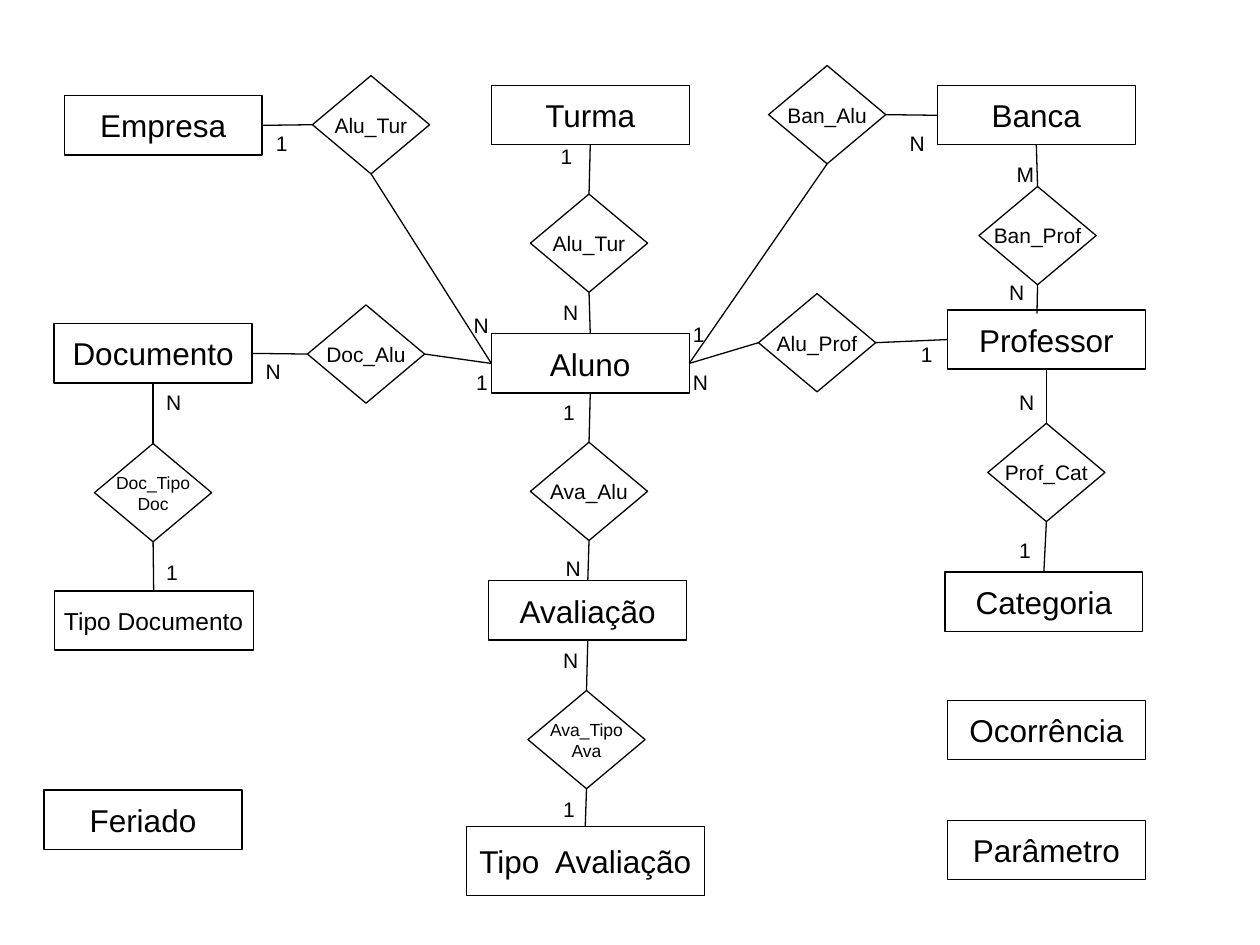
from dataclasses import dataclass

from lxml import etree
from pptx import Presentation
from pptx.dml.color import RGBColor
from pptx.enum import shapes, text
from pptx.oxml import ns
from pptx.util import Inches, Pt

TOP, LEFT, BOTTOM, RIGHT = range(4)


@dataclass(frozen=True)
class Theme:
    font: str = "Arial"
    ink: RGBColor = RGBColor(0, 0, 0)
    paper: RGBColor = RGBColor(255, 255, 255)
    line: float = 0.75
    entity: int = 18
    long_entity: int = 14
    relation: int = 12
    long_relation: int = 10
    cardinality: int = 12


def write(frame, content, *, theme, size, align=text.PP_ALIGN.LEFT,
          anchor=text.MSO_ANCHOR.TOP):
    frame.word_wrap = False
    frame.vertical_anchor = anchor
    for index, words in enumerate(content.split("\n")):
        paragraph = frame.paragraphs[0] if index == 0 else frame.add_paragraph()
        paragraph.alignment = align
        run = paragraph.add_run()
        run.text = words
        run.font.size = Pt(size)
        run.font.name = theme.font
        run.font.color.rgb = theme.ink


class Diagram:
    def __init__(self, slide, theme):
        self.slide = slide
        self.theme = theme

    def node(self, kind, label, left, top, width, height, size):
        """Add an outlined shape with its label centred."""
        node = self.slide.shapes.add_shape(
            kind, Inches(left), Inches(top), Inches(width), Inches(height))
        node.shadow.inherit = False
        node.fill.solid()
        node.fill.fore_color.rgb = self.theme.paper
        node.line.color.rgb = self.theme.ink
        node.line.width = Pt(self.theme.line)
        write(node.text_frame, label, theme=self.theme, size=size,
              align=text.PP_ALIGN.CENTER, anchor=text.MSO_ANCHOR.MIDDLE)
        return node

    def entity(self, label, left, top, width=1.57, height=0.47, size=None):
        return self.node(shapes.MSO_SHAPE.FLOWCHART_PROCESS, label, left, top,
                         width, height, size or self.theme.entity)

    def relation(self, label, left, top):
        size = self.theme.long_relation if "\n" in label else self.theme.relation
        return self.node(shapes.MSO_SHAPE.DIAMOND, label, left, top, 0.93, 0.78, size)

    def link(self, relation, relation_side, entity, entity_side, end=(0, 0)):
        """Join a relation to an entity's side, or to a free end if side is None."""
        link = self.slide.shapes.add_connector(
            shapes.MSO_CONNECTOR.STRAIGHT, 0, 0, Inches(end[0]), Inches(end[1]))
        link.begin_connect(relation, relation_side)
        if entity_side is not None:
            link.end_connect(entity, entity_side)
        link.line.color.rgb = self.theme.ink
        link.line.width = Pt(self.theme.line)
        etree.SubElement(link._element.spPr, ns.qn("a:effectLst"))

    def cardinality(self, symbol, left, top):
        width = {"1": 0.29, "N": 0.32, "M": 0.34}[symbol]
        box = self.slide.shapes.add_textbox(
            Inches(left), Inches(top), Inches(width), Inches(0.3))
        write(box.text_frame, symbol, theme=self.theme, size=self.theme.cardinality)
        box.text_frame.auto_size = text.MSO_AUTO_SIZE.SHAPE_TO_FIT_TEXT


ENTITIES = [
    ("Aluno", 3.9, 2.65), ("Turma", 3.9, 0.68), ("Banca", 7.44, 0.68),
    ("Empresa", 0.51, 0.76), ("Professor", 7.52, 2.46),
    ("Documento", 0.43, 2.57), ("Avaliação", 3.88, 4.61),
    ("Tipo Documento", 0.43, 4.69, 1.58, 0.47, Theme.long_entity),
    ("Categoria", 7.5, 4.54), ("Tipo  Avaliação", 3.7, 6.56, 1.89, 0.55),
    ("Ocorrência", 7.52, 5.56), ("Feriado", 0.35, 6.27), ("Parâmetro", 7.52, 6.51),
]

# Relation, left, top, then its links:
# (relation side, entity, entity side, cardinality, cardinality left and top)
RELATIONS = [
    ("Alu_Tur", 2.48, 0.6, [
        (LEFT, "Empresa", RIGHT, "1", 2.09, 0.99),
        (BOTTOM, "Aluno", LEFT, "N", 3.66, 2.43)]),
    ("Alu_Tur", 4.21, 1.54, [
        (TOP, "Turma", BOTTOM, "1", 4.35, 1.09),
        (BOTTOM, "Aluno", TOP, "N", 4.37, 2.33)]),
    ("Ban_Alu", 6.1, 0.52, [
        (RIGHT, "Banca", LEFT, "N", 7.12, 0.99),
        (BOTTOM, "Aluno", RIGHT, "1", 5.4, 2.5)]),
    ("Ban_Prof", 7.77, 1.48, [
        (TOP, "Banca", BOTTOM, "M", 7.97, 1.23),
        (BOTTOM, "Professor", None, "N", 7.91, 2.17)]),
    ("Doc_Alu", 2.44, 2.42, [
        (LEFT, "Documento", RIGHT, "N", 2.01, 2.8),
        (RIGHT, "Aluno", LEFT, "1", 3.68, 2.88)]),
    ("Alu_Prof", 6.02, 2.33, [
        (RIGHT, "Professor", LEFT, "1", 7.21, 2.66),
        (LEFT, "Aluno", RIGHT, "N", 5.4, 2.88)]),
    ("Doc_Tipo\nDoc", 0.75, 3.52, [
        (TOP, "Documento", BOTTOM, "N", 1.22, 3.04),
        (BOTTOM, "Tipo Documento", TOP, "1", 1.22, 4.39)]),
    ("Ava_Alu", 4.21, 3.51, [
        (TOP, "Aluno", BOTTOM, "1", 4.37, 3.12),
        (BOTTOM, "Avaliação", TOP, "N", 4.39, 4.36)]),
    ("Ava_Tipo\nAva", 4.19, 5.48, [
        (TOP, "Avaliação", BOTTOM, "N", 4.37, 5.09),
        (BOTTOM, "Tipo  Avaliação", TOP, "1", 4.37, 6.27)]),
    ("Prof_Cat", 7.84, 3.36, [
        (TOP, "Professor", BOTTOM, "N", 7.99, 3.04),
        (BOTTOM, "Categoria", TOP, "1", 7.99, 4.22)]),
]
PROFESSOR_END = (8.23, 2.49)


def main():
    deck = Presentation()
    deck.slide_width, deck.slide_height = Inches(10), Inches(7.5)
    diagram = Diagram(deck.slides.add_slide(deck.slide_layouts[6]), Theme())

    entities = {entity[0]: diagram.entity(*entity) for entity in ENTITIES}
    for label, left, top, links in RELATIONS:
        relation = diagram.relation(label, left, top)
        for side, name, entity_side, symbol, symbol_left, symbol_top in links:
            diagram.link(relation, side, entities[name], entity_side, PROFESSOR_END)
            diagram.cardinality(symbol, symbol_left, symbol_top)

    deck.save("out.pptx")


if __name__ == "__main__":
    main()
